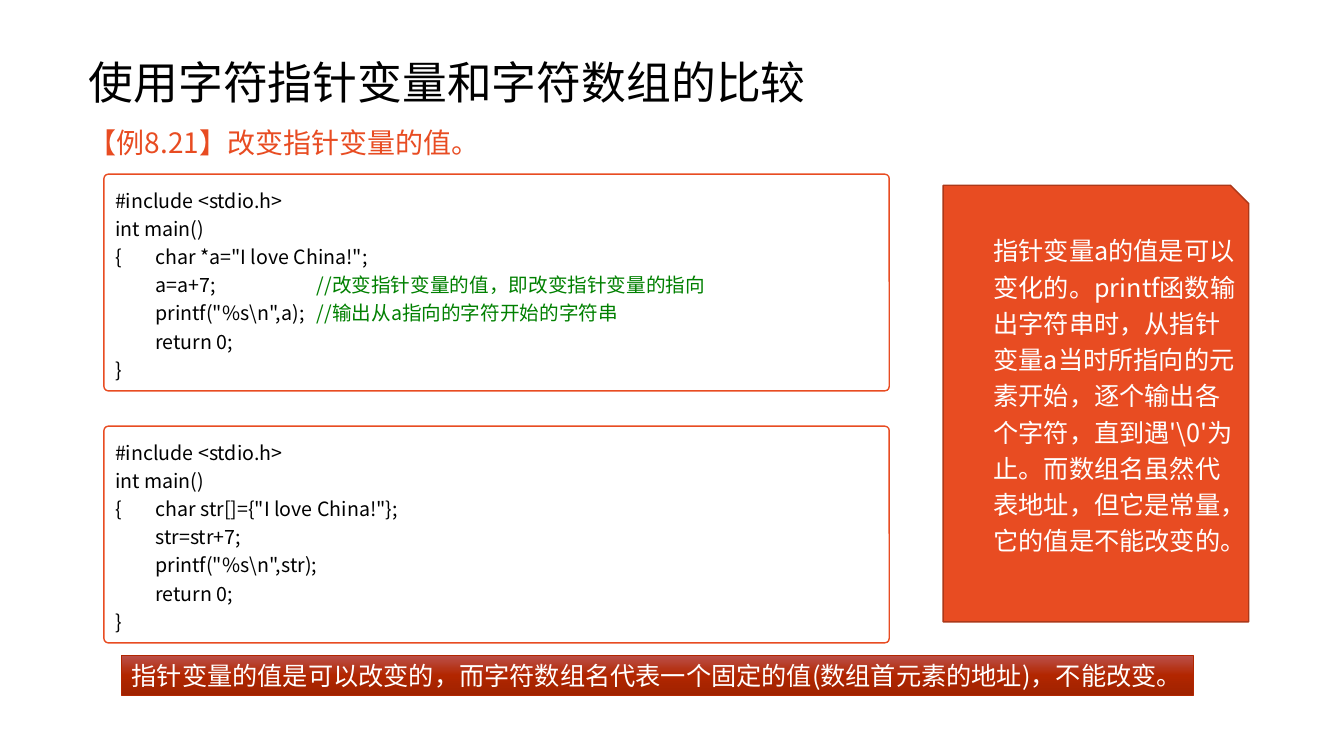
"""Build the slide comparing character pointer variables with character arrays."""
from dataclasses import dataclass

from lxml.etree import SubElement
from pptx import Presentation
from pptx.dml.color import RGBColor
from pptx.enum.shapes import MSO_SHAPE
from pptx.enum.text import MSO_ANCHOR, MSO_AUTO_SIZE, PP_ALIGN
from pptx.oxml.ns import qn
from pptx.util import Cm, Pt

FONT = "Noto Sans CJK SC"
COLORS = {
    "paper": "FFFFFF", "ink": "000000", "accent": "E84C22", "edge": "AC3819",
    "comment": "008000", "bar": "B22600", "bar_top": "BB514B", "bar_bottom": "9E2200",
}
TAB = Cm(1.016)
TAB_COUNT = 5


@dataclass
class Box:
    left: float
    top: float
    width: float
    height: float

    def lengths(self) -> tuple:
        return Cm(self.left), Cm(self.top), Cm(self.width), Cm(self.height)


@dataclass
class Style:
    size: int
    color: str
    spacing: float = 1.0
    anchor: MSO_ANCHOR = MSO_ANCHOR.TOP


@dataclass
class Listing:
    box: Box
    lines: list


TITLE = Box(1.98, 0.81, 29.21, 2.64)
BODY = Box(1.98, 2.87, 29.77, 1.52)
BAR = Box(3.07, 16.51, 27.0, 1.02)
CARD = Box(23.77, 4.67, 7.7, 11.0)
NOTE = Box(24.79, 5.66, 6.68, 9.37)
CODE_STYLE = Style(14, "ink", 1.2, MSO_ANCHOR.MIDDLE)

LISTINGS = [
    Listing(Box(2.62, 4.39, 19.79, 5.46), [
        "#include <stdio.h>",
        "int main()",
        '{\tchar *a="I love China!";',
        "\ta=a+7;\t\t\t//改变指针变量的值，即改变指针变量的指向",
        '\tprintf("%s\\n",a);\t//输出从a指向的字符开始的字符串',
        "\treturn 0;",
        "}",
    ]),
    Listing(Box(2.62, 10.74, 19.79, 5.46), [
        "#include <stdio.h>",
        "int main()",
        '{\tchar str[]={"I love China!"};',
        "\tstr=str+7;",
        '\tprintf("%s\\n",str);',
        "\treturn 0;",
        "}",
    ]),
]


def rgb(name: str) -> RGBColor:
    """Return a named colour."""
    return RGBColor.from_string(COLORS[name])


def place(sp, box: Box) -> None:
    """Move a placeholder to its box."""
    for name, value in zip(("left", "top", "width", "height"), box.lengths()):
        setattr(sp, name, value)


def add_run(p, text: str, size: int, color: str) -> None:
    """Add a run in the slide font, for Latin and Chinese alike."""
    r = p.add_run()
    r.text = text
    for name, value in {"size": Pt(size), "name": FONT, "bold": False}.items():
        setattr(r.font, name, value)
    r.font.color.rgb = rgb(color)
    SubElement(r._r.get_or_add_rPr(), qn("a:ea"), typeface=FONT)


def write(sp, lines: list, style: Style) -> None:
    """Write paragraphs, colouring whatever follows a comment mark."""
    tf = sp.text_frame
    frame = {"word_wrap": True, "auto_size": MSO_AUTO_SIZE.NONE,
             "vertical_anchor": style.anchor}
    for name, value in frame.items():
        setattr(tf, name, value)
    for i, line in enumerate(lines):
        p = tf.add_paragraph() if i else tf.paragraphs[0]
        layout = {"alignment": PP_ALIGN.LEFT, "line_spacing": style.spacing,
                  "space_before": Pt(0)}
        for name, value in layout.items():
            setattr(p, name, value)
        code, mark, comment = line.partition("//")
        add_run(p, code, style.size, style.color)
        if mark:
            add_run(p, mark + comment, style.size, "comment")


def add_box(shapes, kind: MSO_SHAPE, box: Box, fill: str, line: str, width: float):
    """Add a flat filled preset shape with an outline."""
    sp = shapes.add_shape(kind, *box.lengths())
    sp.shadow.inherit = False
    sp.fill.solid()
    sp.fill.fore_color.rgb = rgb(fill)
    sp.line.color.rgb = rgb(line)
    sp.line.width = Pt(width)
    return sp


def shade(sp, names: list) -> None:
    """Fill a shape with evenly spaced colours from top to bottom."""
    sp.fill.gradient()
    sp.fill.gradient_angle = 270
    stops = sp._element.spPr.find(".//" + qn("a:gsLst"))
    stops.clear()
    for i, name in enumerate(names):
        gs = SubElement(stops, qn("a:gs"), pos=str(100000 * i // (len(names) - 1)))
        SubElement(gs, qn("a:srgbClr"), val=COLORS[name])


def add_listing(shapes, listing: Listing) -> None:
    """Add a rounded code box with evenly spaced tab stops."""
    sp = add_box(shapes, MSO_SHAPE.ROUNDED_RECTANGLE, listing.box, "paper", "accent", 1)
    sp.adjustments[0] = 0.02
    write(sp, listing.lines, CODE_STYLE)
    for p in sp.text_frame.paragraphs:
        tabs = SubElement(p._p.get_or_add_pPr(), qn("a:tabLst"))
        for n in range(1, TAB_COUNT + 1):
            SubElement(tabs, qn("a:tab"), pos=str(n * TAB), algn="l")


def main() -> None:
    """Build and save the slide."""
    prs = Presentation()
    prs.slide_width, prs.slide_height = Cm(33.87), Cm(19.05)
    s = prs.slides.add_slide(prs.slide_layouts[1])
    s.background.fill.solid()
    s.background.fill.fore_color.rgb = rgb("paper")

    title, body = s.placeholders
    place(title, TITLE)
    write(title, ["使用字符指针变量和字符数组的比较"],
          Style(32, "ink", 0.9, MSO_ANCHOR.MIDDLE))

    bar = add_box(s.shapes, MSO_SHAPE.RECTANGLE, BAR, "bar", "bar", 0.5)
    shade(bar, ["bar_top", "bar", "bar_bottom"])
    write(bar, ["指针变量的值是可以改变的，而字符数组名代表一个固定的值"
                "(数组首元素的地址)，不能改变。"], Style(18, "paper"))

    place(body, BODY)
    write(body, ["【例8.21】改变指针变量的值。"], Style(20, "accent", 1.2))
    pPr = body.text_frame.paragraphs[0]._p.get_or_add_pPr()
    for name, value in {"marL": Cm(0.25), "indent": Cm(-0.25)}.items():
        pPr.set(name, str(value))
    SubElement(pPr, qn("a:buNone"))

    for listing in LISTINGS:
        add_listing(s.shapes, listing)

    group = s.shapes.add_group_shape()
    card = add_box(group.shapes, MSO_SHAPE.SNIP_1_RECTANGLE, CARD, "accent", "edge", 1)
    card.adjustments[0] = 0.06
    note = group.shapes.add_textbox(*NOTE.lengths())
    write(note, ["指针变量a的值是可以变化的。printf函数输出字符串时，从指针变量a当时所指向的"
                 "元素开始，逐个输出各个字符，直到遇'\\0'为止。而数组名虽然代表地址，"
                 "但它是常量，它的值是不能改变的。"], Style(18, "paper", 1.2))

    prs.save("out.pptx")


if __name__ == "__main__":
    main()
